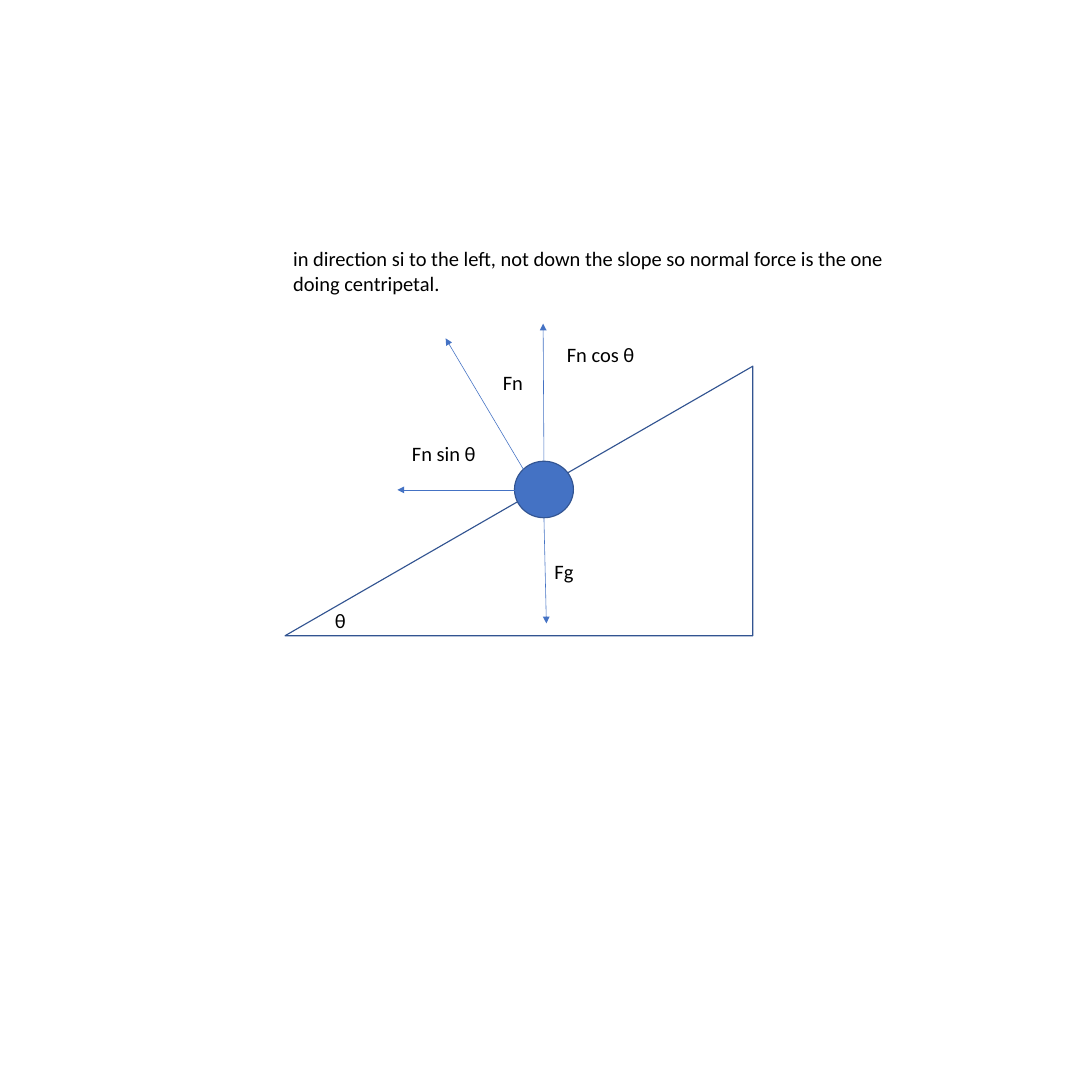
from dataclasses import dataclass

from lxml.etree import SubElement
from pptx import Presentation
from pptx.dml.color import RGBColor
from pptx.enum.shapes import MSO_CONNECTOR as Connector, MSO_SHAPE as Preset
from pptx.enum.text import MSO_AUTO_SIZE as AutoSize
from pptx.oxml.ns import qn
from pptx.util import Inches, Pt


@dataclass(frozen=True)
class Theme:
    """Colours, font and sizes of the force diagram."""
    force: RGBColor = RGBColor(0x44, 0x72, 0xC4)
    outline: RGBColor = RGBColor(0x32, 0x54, 0x91)
    ink: RGBColor = RGBColor(0, 0, 0)
    font: str = "Calibri"
    text_size: Pt = Pt(18)
    outline_width: Pt = Pt(1)
    force_width: Pt = Pt(0.5)


THEME = Theme()


def add_body(slide, preset, box, fill=None):
    """Add an outlined shape, filled when a colour is given."""
    body = slide.shapes.add_shape(preset, *map(Inches, box))
    body.shadow.inherit = False
    if fill is None:
        body.fill.background()
    else:
        body.fill.solid()
        body.fill.fore_color.rgb = fill
    body.line.color.rgb = THEME.outline
    body.line.width = THEME.outline_width
    return body


def add_force(slide, start, tip):
    """Add a force arrow pointing from start to tip."""
    force = slide.shapes.add_connector(
        Connector.STRAIGHT, *map(Inches, (*start, *tip)))
    force.line.color.rgb = THEME.force
    force.line.width = THEME.force_width
    SubElement(force.line._get_or_add_ln(), qn("a:tailEnd"), type="triangle")
    SubElement(force._element.spPr, qn("a:effectLst"))


def add_label(slide, wording, box):
    """Add a wrapped text box holding one run."""
    frame = slide.shapes.add_textbox(*map(Inches, box)).text_frame
    frame.word_wrap = True
    frame.auto_size = AutoSize.SHAPE_TO_FIT_TEXT
    run = frame.paragraphs[0].add_run()
    run.text = wording
    run.font.name = THEME.font
    run.font.size = THEME.text_size
    run.font.color.rgb = THEME.ink


def main():
    """Build the slide of a ball on a banked slope."""
    deck = Presentation()
    deck.slide_width = deck.slide_height = Inches(13.33)
    slide = deck.slides.add_slide(deck.slide_layouts[6])

    slope = add_body(slide, Preset.RIGHT_TRIANGLE, (3.48, 4.47, 5.71, 3.29))
    slope._element.spPr.xfrm.set("flipH", "1")
    add_body(slide, Preset.OVAL, (6.28, 5.63, 0.72, 0.69), THEME.force)

    forces = [
        ("Fg", (6.67, 6.77, 1.2, 0.4), (6.64, 6.32), (6.67, 7.61)),
        ("Fn", (6.04, 4.47, 2.4, 0.4), (6.39, 5.73), (5.44, 4.13)),
        ("Fn cos θ", (6.82, 4.13, 1.52, 0.4), (6.64, 5.63), (6.63, 3.95)),
        ("Fn sin θ", (4.93, 5.33, 1.52, 0.4), (6.34, 5.98), (4.85, 5.98)),
    ]
    for wording, box, start, tip in forces:
        add_force(slide, start, tip)
        add_label(slide, wording, box)

    add_label(slide, "θ", (3.99, 7.37, 1.56, 0.4))
    add_label(
        slide,
        "in direction si to the left, not down the slope "
        "so normal force is the one doing centripetal.",
        (3.48, 2.96, 7.88, 0.71))

    deck.save("out.pptx")


if __name__ == "__main__":
    main()
